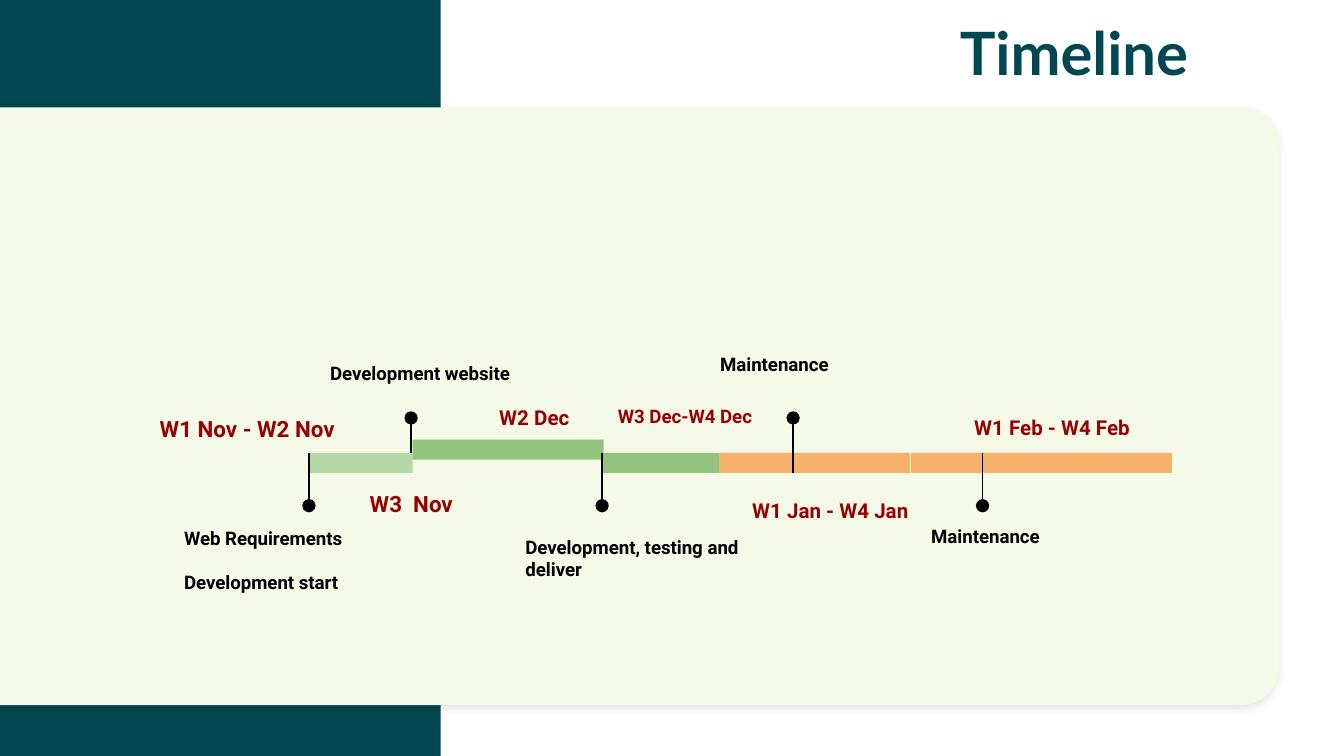
from dataclasses import dataclass

from lxml import etree
from pptx import Presentation
from pptx import util as u
from pptx.dml.color import RGBColor
from pptx.enum import shapes, text
from pptx.oxml.ns import qn

COLOURS = {
    "teal": "004751", "cream": "F4F9E8", "black": "000000", "date": "980000",
    "mint": "B6D7A8", "green": "93C47D", "orange": "F6B26B",
}
SHAPE = shapes.MSO_SHAPE
BAR_TOP, BAR_HEIGHT = 8.56, 0.38
DOT_SIZE = 0.25
DOT_ABOVE, DOT_BELOW = 7.9, 9.56  # dot centres
INSET = 0.25


@dataclass(frozen=True)
class Label:
    lines: tuple[str, ...]
    left: float
    top: float
    width: float
    height: float = 1.04
    size: int = 10
    font: str = "Roboto"
    colour: str = "black"
    inset: float = INSET
    is_date: bool = False


@dataclass(frozen=True)
class Phase:
    left: float
    width: float
    colour: str
    date: Label
    pin: float | None = None
    pin_above: bool = False
    caption: Label | None = None
    bar_top: float = BAR_TOP


def date_label(words: str, left: float, top: float, width: float, size: int) -> Label:
    return Label((words,), left, top, width, size=size, colour="date", is_date=True)


# Listed from back to front
PHASES = [
    Phase(7.8, 3.61, "green", date_label("W3  Nov", 6.02, 8.94, 3.51, 12),
          7.77, True, Label(("Development website",), 5.99, 6.63, 4.67), bar_top=8.31),
    Phase(11.38, 2.26, "green", date_label("W2 Dec", 8.69, 7.34, 2.82, 11),
          11.38, False,
          Label(("Development, testing and deliver",), 9.68, 9.88, 4.67, 2.62)),
    Phase(13.59, 3.61, "orange", date_label("W3 Dec-W4 Dec", 10.85, 7.34, 4.19, 10),
          14.99, True, Label(("Maintenance",), 13.36, 6.45, 4.67)),
    Phase(17.22, 4.93, "orange", date_label("W1 Feb - W4 Feb", 17.55, 7.52, 4.67, 11),
          18.57, False, Label(("Maintenance",), 17.35, 9.7, 4.67)),
    Phase(5.84, 1.96, "mint", date_label("W1 Nov - W2 Nov", 2.34, 7.52, 4.67, 12),
          5.84, False,
          Label(("Web Requirements", "Development start"), 3.23, 9.7, 4.67, 2.62)),
]
JANUARY = date_label("W1 Jan - W4 Jan", 13.89, 9.09, 3.61, 11)
TITLE = Label(("Timeline",), 18.14, 0.3, 5.16, 1.6, 32, "Lato", "teal", 0)


def rgb(name: str) -> RGBColor:
    return RGBColor.from_string(COLOURS[name])


def add_block(page, kind, colour: str, left: float, top: float,
              width: float, height: float):
    block = page.shapes.add_shape(kind, u.Cm(left), u.Cm(top), u.Cm(width), u.Cm(height))
    block.shadow.inherit = False
    block.fill.solid()
    block.fill.fore_color.rgb = rgb(colour)
    block.line.fill.background()
    return block


def add_soft_shadow(block) -> None:
    effects = block._element.spPr.find(qn("a:effectLst"))
    shadow = etree.SubElement(effects, qn("a:outerShdw"), blurRad=str(u.Pt(5.6)),
                              dist=str(u.Pt(2.2)), dir="5400000", rotWithShape="0")
    tint = etree.SubElement(shadow, qn("a:srgbClr"), val=COLOURS["black"])
    etree.SubElement(tint, qn("a:alpha"), val="11000")


def add_label(page, label: Label) -> None:
    box = page.shapes.add_textbox(u.Cm(label.left), u.Cm(label.top),
                                  u.Cm(label.width), u.Cm(label.height))
    frame = box.text_frame
    frame.word_wrap = True
    frame.margin_left = frame.margin_right = u.Cm(label.inset)
    frame.margin_top = frame.margin_bottom = u.Cm(label.inset)
    for index, line in enumerate(label.lines):
        para = frame.add_paragraph() if index else frame.paragraphs[0]
        if index:
            para.space_before = u.Pt(12)
        if label.is_date:
            para.alignment = text.PP_ALIGN.CENTER
            para.line_spacing = 1.15
            para.space_after = u.Pt(16)
        span = para.add_run()
        span.text = line
        span.font.name = label.font
        span.font.size = u.Pt(label.size)
        span.font.bold = True
        span.font.color.rgb = rgb(label.colour)


def add_pin(page, x: float, above: bool) -> None:
    centre = DOT_ABOVE if above else DOT_BELOW
    end = BAR_TOP + BAR_HEIGHT if above else BAR_TOP
    stem = page.shapes.add_connector(shapes.MSO_CONNECTOR.STRAIGHT,
                                     u.Cm(x), u.Cm(centre), u.Cm(x), u.Cm(end))
    stem.line.color.rgb = rgb("black")
    stem.line.width = u.Pt(0.75)
    etree.SubElement(stem._element.spPr, qn("a:effectLst"))
    add_block(page, SHAPE.OVAL, "black", x - DOT_SIZE / 2, centre - DOT_SIZE / 2,
              DOT_SIZE, DOT_SIZE)


def add_phase(page, phase: Phase) -> None:
    add_block(page, SHAPE.RECTANGLE, phase.colour, phase.left, phase.bar_top,
              phase.width, BAR_HEIGHT)
    add_label(page, phase.date)
    if phase.pin is not None:
        add_pin(page, phase.pin, phase.pin_above)
    if phase.caption:
        add_label(page, phase.caption)


def main() -> None:
    deck = Presentation()
    deck.slide_width, deck.slide_height = u.Cm(25.4), u.Cm(14.29)
    page = deck.slides.add_slide(deck.slide_layouts[6])

    # Backdrop: teal column and cream panel
    add_block(page, SHAPE.RECTANGLE, "teal", 0, 0, 8.33, 14.29)
    panel = add_block(page, SHAPE.ROUNDED_RECTANGLE, "cream", -0.76, 2.03, 24.94, 11.3)
    panel.adjustments[0] = 0.064
    add_soft_shadow(panel)

    # Heading and timeline
    add_label(page, TITLE)
    for phase in PHASES:
        add_phase(page, phase)
    add_label(page, JANUARY)

    deck.save("out.pptx")


if __name__ == "__main__":
    main()
